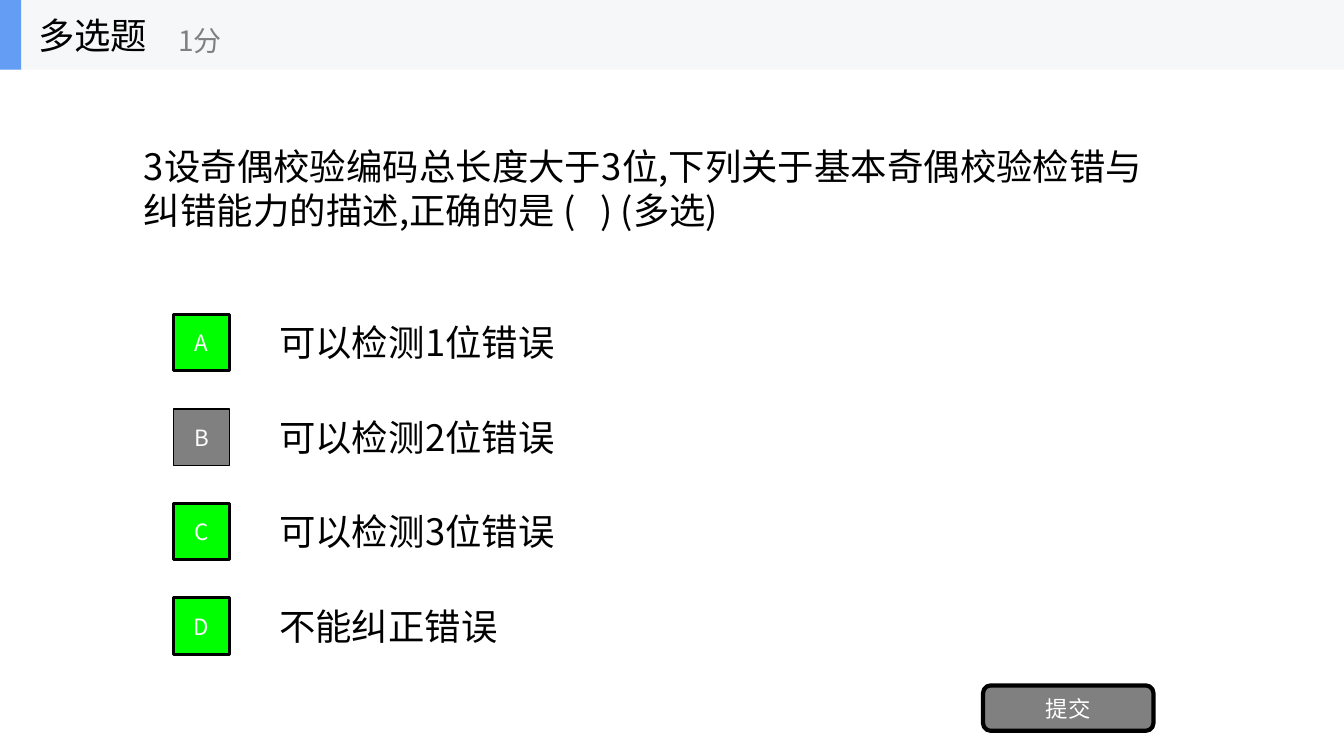
from dataclasses import dataclass
from lxml.etree import SubElement
from pptx import Presentation
from pptx.dml.color import RGBColor
from pptx.enum.shapes import MSO_SHAPE
from pptx.enum.text import MSO_ANCHOR, MSO_AUTO_SIZE, PP_ALIGN
from pptx.oxml.ns import qn
from pptx.util import Inches, Pt


@dataclass(frozen=True)
class Theme:
    """Colours, font and type sizes of the quiz slide."""
    font: str = "Noto Sans CJK SC"
    ink: str = "000000"
    white: str = "FFFFFF"
    gray: str = "808080"
    green: str = "00FF00"
    band: str = "F6F7F8"
    blue: str = "639EF4"
    body: int = 26
    score: int = 20
    label: int = 16


THEME = Theme()


def apply(item, values):
    """Set each attribute in values on item."""
    for name, value in values.items():
        setattr(item, name, value)


def write(shape, text, size, color, align=PP_ALIGN.LEFT, fit=MSO_AUTO_SIZE.NONE):
    """Put one line of styled text in a shape."""
    frame = shape.text_frame
    apply(frame, {"word_wrap": True, "auto_size": fit,
                  "vertical_anchor": MSO_ANCHOR.MIDDLE})
    para = frame.paragraphs[0]
    para.alignment = align
    run = para.add_run()
    run.text = text
    apply(run.font, {"size": Pt(size), "name": THEME.font})
    run.font.color.rgb = RGBColor.from_string(color)
    SubElement(run._r.get_or_add_rPr(), qn("a:ea"), typeface=THEME.font)


def add_text(slide, box, text, size=THEME.body, color=THEME.ink,
             fit=MSO_AUTO_SIZE.NONE):
    """Add a text box."""
    shape = slide.shapes.add_textbox(*map(Inches, box))
    write(shape, text, size, color, fit=fit)


def add_block(slide, box, fill, line=0, text="", kind=MSO_SHAPE.RECTANGLE):
    """Add a filled shape with an optional outline and label."""
    shape = slide.shapes.add_shape(kind, *map(Inches, box))
    shape.shadow.inherit = False
    shape.fill.solid()
    shape.fill.fore_color.rgb = RGBColor.from_string(fill)
    if line:
        shape.line.width = Pt(line)
        shape.line.color.rgb = RGBColor.from_string(THEME.ink)
    else:
        shape.line.fill.background()
    if text:
        write(shape, text, THEME.label, THEME.white, PP_ALIGN.CENTER)


def add_choice(slide, row, mark, text, right, width):
    """Add one answer row: its lettered key and its wording."""
    top = 3.12 + row * 0.937
    add_text(slide, (2.67, top + 0.01, width, 0.53), text,
             fit=MSO_AUTO_SIZE.SHAPE_TO_FIT_TEXT)
    fill, line = (THEME.green, 2) if right else (THEME.gray, 1)
    add_block(slide, (1.72, top, 0.56, 0.56), fill, line, mark)


def add_header(slide):
    """Add the title band with question type and score."""
    add_block(slide, (0, 0, 13.33, 0.69), THEME.band)
    add_block(slide, (0, 0, 0.21, 0.69), THEME.blue)
    add_text(slide, (0.28, 0, 2.08, 0.69), "多选题")
    add_text(slide, (1.67, 0.12, 2.5, 0.56), "1分", THEME.score, THEME.gray)


def main():
    """Build and save the quiz slide."""
    deck = Presentation()
    apply(deck, {"slide_width": Inches(13.33), "slide_height": Inches(7.5)})
    slide = deck.slides.add_slide(deck.slide_layouts[6])
    add_text(slide, (1.33, 1.38, 10.46, 0.97),
             "3设奇偶校验编码总长度大于3位,下列关于基本奇偶校验检错与纠错能力的描述,"
             "正确的是 (   ) (多选)", fit=MSO_AUTO_SIZE.SHAPE_TO_FIT_TEXT)
    choices = [("A", "可以检测1位错误", True, 3.05),
               ("B", "可以检测2位错误", False, 3.05),
               ("C", "可以检测3位错误", True, 3.05),
               ("D", "不能纠正错误", True, 2.47)]
    for row, choice in enumerate(choices):
        add_choice(slide, row, *choice)
    add_block(slide, (9.75, 6.8, 1.69, 0.45), THEME.gray, 3, "提交",
              MSO_SHAPE.ROUNDED_RECTANGLE)
    add_header(slide)
    deck.save("out.pptx")


if __name__ == "__main__":
    main()
